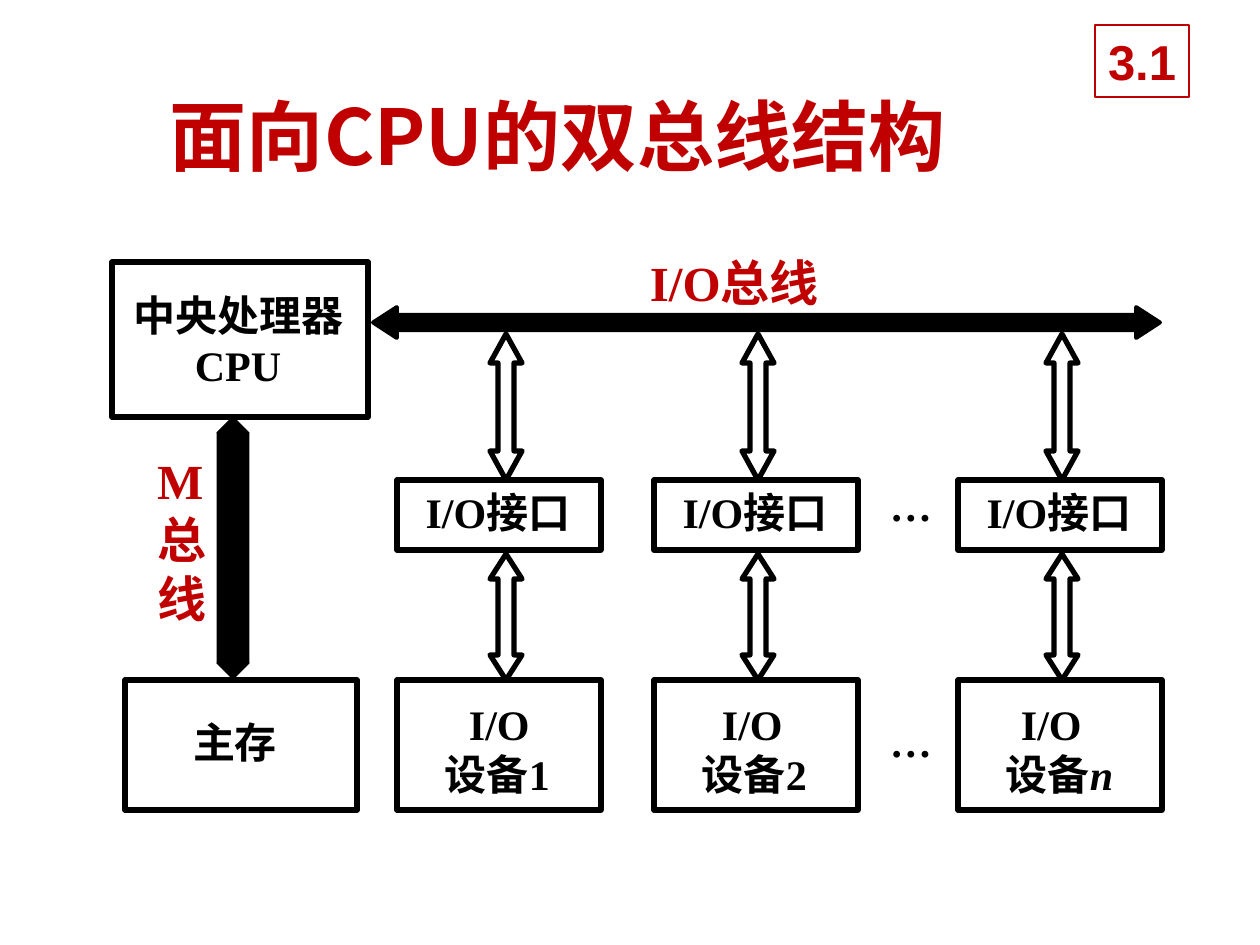
from dataclasses import dataclass

from lxml.etree import SubElement
from pptx import Presentation
from pptx.dml.color import RGBColor
from pptx.enum.shapes import MSO_SHAPE as Shape
from pptx.enum.text import MSO_ANCHOR as Anchor, PP_ALIGN as Align
from pptx.oxml.ns import qn
from pptx.util import Pt

PX = 914400 / 126
COLORS = {"red": "C00000", "black": "000000", "white": "FFFFFF"}
SERIF, SANS, CJK = "Times New Roman", "Arial", "Noto Sans CJK SC"


@dataclass
class Run:
    text: str
    size: int = 24
    color: str = "black"
    font: str = SERIF
    italic: bool = False


@dataclass
class Para:
    runs: list[Run]
    indent: int = 0


@dataclass
class Box:
    x: int
    y: int
    w: int
    h: int


@dataclass
class Column:
    x: int
    arrow_x: int
    io_indent: int
    number: Run


def emu(px: float) -> int:
    return round(px * PX)


def rgb(name: str) -> RGBColor:
    return RGBColor.from_string(COLORS[name])


def place(box: Box) -> list[int]:
    return [emu(v) for v in (box.x, box.y, box.w, box.h)]


def style(sp, line: str, width: float, fill: str | None = None) -> None:
    sp.shadow.inherit = False
    sp.line.color.rgb = rgb(line)
    sp.line.width = Pt(width)
    if fill:
        sp.fill.solid()
        sp.fill.fore_color.rgb = rgb(fill)
    else:
        sp.fill.background()


def write(sp, paras: list[Para], align=Align.LEFT, anchor=Anchor.TOP,
          insets=(0, 0, 0, 0), wrap=True) -> None:
    """Fill a shape with text; insets are left, top, right, bottom in px."""
    tf = sp.text_frame
    frame = {"word_wrap": wrap, "vertical_anchor": anchor}
    sides = ("left", "top", "right", "bottom")
    frame |= {f"margin_{side}": emu(v) for side, v in zip(sides, insets)}
    for name, value in frame.items():
        setattr(tf, name, value)
    for i, para in enumerate(paras):
        p = tf.add_paragraph() if i else tf.paragraphs[0]
        p.alignment = align
        if para.indent:
            p._p.get_or_add_pPr().set("marL", str(emu(para.indent)))
        for run in para.runs:
            r = p.add_run()
            r.text = run.text
            values = {"size": Pt(run.size), "bold": True, "name": run.font,
                      "italic": run.italic}
            for name, value in values.items():
                setattr(r.font, name, value)
            r.font.color.rgb = rgb(run.color)
            SubElement(r.font._element, qn("a:ea")).set("typeface", CJK)


def add_label(s, box: Box, paras: list[Para], **options) -> None:
    write(s.shapes.add_textbox(*place(box)), paras, **options)


def add_box(s, box: Box, paras: list[Para], **options) -> None:
    sp = s.shapes.add_shape(Shape.RECTANGLE, *place(box))
    style(sp, "black", 3)
    write(sp, paras, **options)


def add_bus(s, kind, box: Box, head: float, width: float) -> None:
    sp = s.shapes.add_shape(kind, *place(box))
    sp.adjustments[0], sp.adjustments[1] = 0.5, head
    style(sp, "black", width, "black")


def add_link(s, x: int, top: int, bottom: int, head: int) -> None:
    """Hollow double arrow centred on x."""
    wing, shaft = 16, 8
    a, b = top + head, bottom - head
    right = [(wing, a), (shaft, a), (shaft, b), (wing, b)]
    left = [(-dx, y) for dx, y in reversed(right)]
    points = [(x + dx, y) for dx, y in [*right, (0, bottom), *left]]
    builder = s.shapes.build_freeform(x, top, scale=PX)
    builder.add_line_segments(points, close=True)
    sp = builder.convert_to_shape()
    style(sp, "black", 3)
    SubElement(sp.line._get_or_add_ln(), qn("a:round"))


def main() -> None:
    prs = Presentation()
    prs.slide_width, prs.slide_height = emu(1260), emu(945)
    s = prs.slides.add_slide(prs.slide_layouts[6])

    add_label(s, Box(157, 82, 1061, 105),
              [Para([Run("面向CPU的双总线结构", 44, "red", CJK)])],
              anchor=Anchor.MIDDLE, insets=(13, 6, 13, 6))

    add_box(s, Box(112, 262, 256, 155),
            [Para([Run("中央处理器")]), Para([Run("CPU")])],
            align=Align.CENTER, anchor=Anchor.MIDDLE, insets=(0, 6, 4, 6))
    add_box(s, Box(125, 680, 232, 130), [Para([Run("主存")])],
            align=Align.CENTER, insets=(0, 36, 12, 6))

    add_label(s, Box(650, 253, 250, 59),
              [Para([Run("I/O", 28, "red"), Run("总线", 28, "red", SANS)])])
    add_bus(s, Shape.LEFT_RIGHT_ARROW, Box(373, 307, 787, 31), 0.77, 2.25)
    add_label(s, Box(157, 451, 59, 176),
              [Para([Run(c, 28, "red")]) for c in "M总线"])
    add_bus(s, Shape.UP_DOWN_ARROW, Box(217, 417, 32, 262), 0.98, 0.75)

    columns = [
        Column(397, 506, 59, Run("1")),
        Column(654, 758, 55, Run("2")),
        Column(958, 1062, 50, Run("n", italic=True)),
    ]
    for col in columns:
        add_box(s, Box(col.x, 480, 204, 70), [Para([Run("I/O接口")])],
                align=Align.CENTER, insets=(0, 6, 2, 6))
        add_box(s, Box(col.x, 680, 204, 130),
                [Para([Run("I/O")], col.io_indent),
                 Para([Run("设备"), col.number], 35)],
                insets=(13, 18, 0, 6))
        add_link(s, col.arrow_x, 334, 480, 29)
        add_link(s, col.arrow_x, 554, 680, 25)
    for y in (480, 716):
        add_label(s, Box(890, y, 52, 50), [Para([Run("…")])])

    badge = s.shapes.add_shape(Shape.RECTANGLE, *place(Box(1095, 25, 94, 72)))
    style(badge, "red", 0.75, "white")
    write(badge, [Para([Run("3.1", 28, "red", SANS)])], align=Align.CENTER,
          anchor=Anchor.MIDDLE, wrap=False)

    prs.save("out.pptx")


if __name__ == "__main__":
    main()
